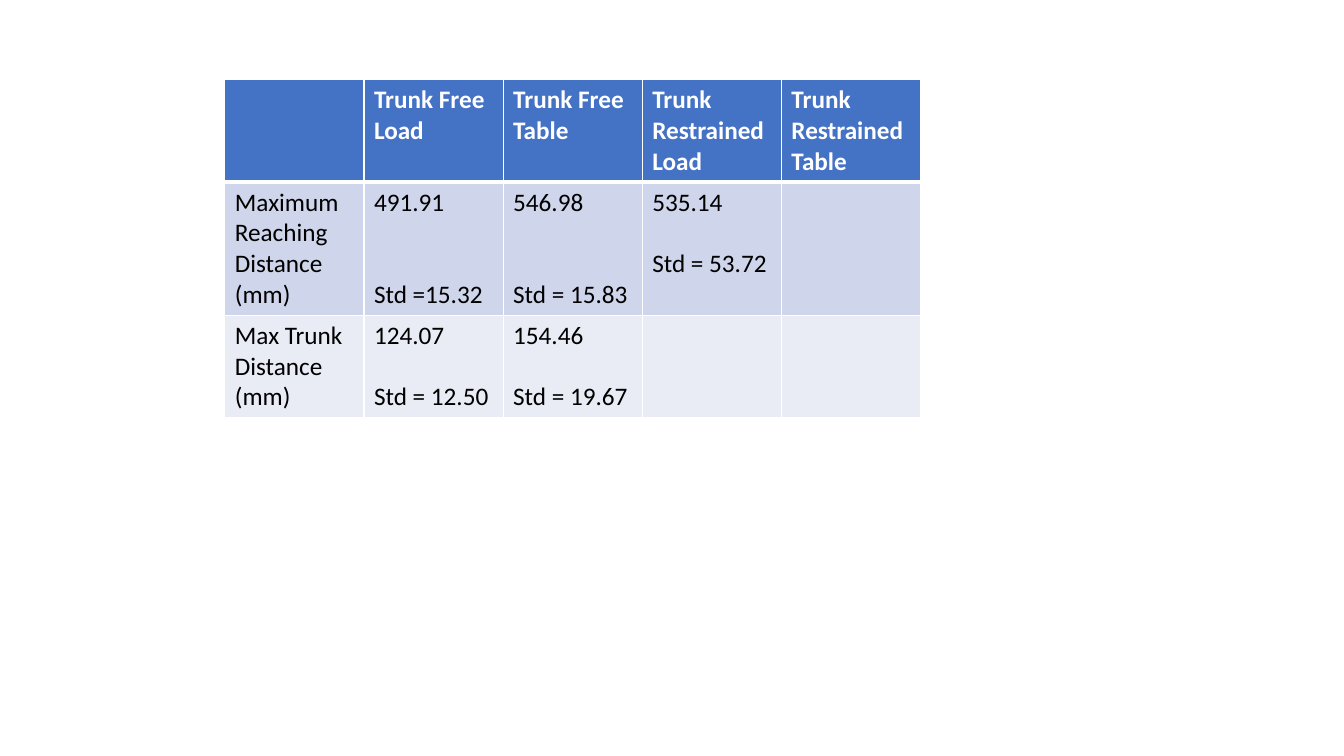
import dataclasses

import lxml.etree
import pptx
import pptx.dml.color
import pptx.oxml.ns
import pptx.util

Inches = pptx.util.Inches
Pt = pptx.util.Pt

COLORS = {
    "header": "4472C4",
    "band_dark": "CFD5EA",
    "band_light": "E9EBF5",
    "white": "FFFFFF",
    "black": "000000",
}
FONT_SIZE = 18
LINE_HEIGHT = 22
COLUMN_WIDTH = 1.38
THIN, THICK = 1, 3


@dataclasses.dataclass(frozen=True)
class Entry:
    lines: tuple[str, ...] = ()
    gap_lines: int = 0


@dataclasses.dataclass(frozen=True)
class TableRow:
    height: float
    fill: str
    entries: tuple[Entry, ...]
    text_color: str = "black"
    bold: bool = False
    top_border: int = THIN
    bottom_border: int = THIN


ROWS = (
    TableRow(1.01, "header", (
        Entry(),
        Entry(("Trunk Free Load",)),
        Entry(("Trunk Free Table",)),
        Entry(("Trunk Restrained Load",)),
        Entry(("Trunk Restrained Table",)),
    ), text_color="white", bold=True, bottom_border=THICK),
    TableRow(1.32, "band_dark", (
        Entry(("Maximum", "Reaching Distance (mm)")),
        Entry(("491.91", "Std =15.32"), gap_lines=2),
        Entry(("546.98", "Std = 15.83"), gap_lines=2),
        Entry(("535.14", "Std = 53.72"), gap_lines=1),
        Entry(),
    ), top_border=THICK),
    TableRow(1.01, "band_light", (
        Entry(("Max Trunk Distance (mm)",)),
        Entry(("124.07", "Std = 12.50"), gap_lines=1),
        Entry(("154.46", "Std = 19.67"), gap_lines=1),
        Entry(),
        Entry(),
    )),
)


def rgb(name: str) -> pptx.dml.color.RGBColor:
    return pptx.dml.color.RGBColor.from_string(COLORS[name])


def write_text(para, text: str, *, color: str, bold: bool, space_before: int) -> None:
    para.space_before = Pt(space_before)
    span = para.add_run()
    span.text = text
    span.font.name = "Calibri"
    span.font.size = Pt(FONT_SIZE)
    span.font.bold = bold
    span.font.color.rgb = rgb(color)


def add_borders(cell, top: int, bottom: int) -> None:
    qn = pptx.oxml.ns.qn
    properties = cell._tc.get_or_add_tcPr()
    for side, width in (("L", THIN), ("R", THIN), ("T", top), ("B", bottom)):
        line = lxml.etree.SubElement(properties, qn(f"a:ln{side}"), w=str(Pt(width)))
        fill = lxml.etree.SubElement(line, qn("a:solidFill"))
        lxml.etree.SubElement(fill, qn("a:srgbClr"), val=COLORS["white"])


def fill_cell(cell, entry: Entry, row: TableRow) -> None:
    add_borders(cell, row.top_border, row.bottom_border)
    cell.fill.solid()
    cell.fill.fore_color.rgb = rgb(row.fill)
    frame = cell.text_frame
    for index, text in enumerate(entry.lines):
        para = frame.add_paragraph() if index else frame.paragraphs[0]
        gap = entry.gap_lines * LINE_HEIGHT if index else 0
        write_text(para, text, color=row.text_color, bold=row.bold, space_before=gap)


def add_results_table(page) -> None:
    column_count = len(ROWS[0].entries)
    table = page.shapes.add_table(
        len(ROWS), column_count, Inches(2.23), Inches(0.79),
        Inches(COLUMN_WIDTH * column_count), Inches(sum(row.height for row in ROWS)),
    ).table
    table.first_row = False
    table.horz_banding = False
    for column in table.columns:
        column.width = Inches(COLUMN_WIDTH)
    for row_index, row in enumerate(ROWS):
        table.rows[row_index].height = Inches(row.height)
        for column_index, entry in enumerate(row.entries):
            fill_cell(table.cell(row_index, column_index), entry, row)


deck = pptx.Presentation()
deck.slide_width = Inches(13.33)
deck.slide_height = Inches(7.5)
page = deck.slides.add_slide(deck.slide_layouts[6])
add_results_table(page)
deck.save("out.pptx")
